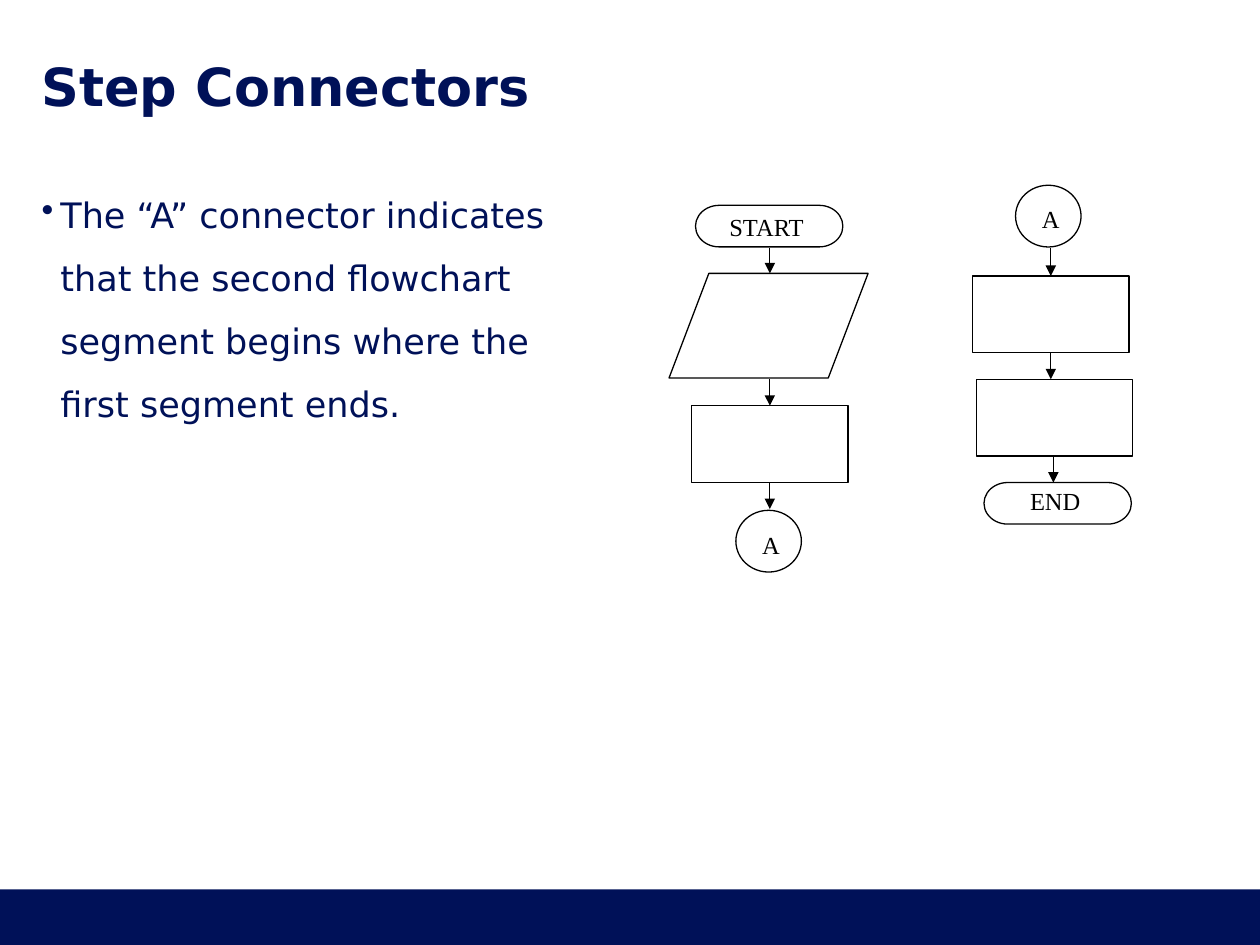
"""Build the Step Connectors slide with its two flowchart segments."""
from lxml import etree
from pptx import Presentation
from pptx.dml.color import RGBColor
from pptx.enum.shapes import MSO_CONNECTOR, MSO_SHAPE
from pptx.enum.text import MSO_ANCHOR, PP_ALIGN
from pptx.oxml.ns import qn
from pptx.util import Inches, Pt

NAVY = RGBColor(0x00, 0x11, 0x58)
BLACK = RGBColor(0x00, 0x00, 0x00)
STRAIGHT = MSO_CONNECTOR.STRAIGHT
RECTANGLE = MSO_SHAPE.RECTANGLE
CIRCLE = MSO_SHAPE.FLOWCHART_CONNECTOR
TERMINATOR = MSO_SHAPE.FLOWCHART_TERMINATOR
DATA = MSO_SHAPE.FLOWCHART_DATA
LEFT, CENTER = PP_ALIGN.LEFT, PP_ALIGN.CENTER
TOP, MIDDLE = MSO_ANCHOR.TOP, MSO_ANCHOR.MIDDLE
TOP_SITE, BOTTOM_SITE = 0, 2

deck = Presentation()
deck.slide_width, deck.slide_height = Inches(10), Inches(7.5)
page = deck.slides.add_slide(deck.slide_layouts[6])


def add_text(text, left, top, width, height, size=14, font="Times New Roman",
             color=BLACK, bold=False, align=LEFT, anchor=TOP, inset=(0.1, 0.05)):
    box = page.shapes.add_textbox(Inches(left), Inches(top), Inches(width), Inches(height))
    frame = box.text_frame
    frame.word_wrap = True
    frame.vertical_anchor = anchor
    frame.margin_left = frame.margin_right = Inches(inset[0])
    frame.margin_top = frame.margin_bottom = Inches(inset[1])
    para = frame.paragraphs[0]
    para.alignment = align
    span = para.add_run()
    span.text = text
    span.font.size, span.font.name, span.font.bold = Pt(size), font, bold
    span.font.color.rgb = color
    return para


footer = page.shapes.add_shape(RECTANGLE, 0, Inches(7.06), Inches(10), Inches(0.44))
footer.shadow.inherit = False
footer.fill.solid()
footer.fill.fore_color.rgb = NAVY
footer.line.fill.background()

add_text("Step Connectors", 0.33, 0.44, 9.34, 0.47, size=30, font="DejaVu Sans",
         color=NAVY, bold=True, anchor=MIDDLE, inset=(0, 0))
body = add_text("The “A” connector indicates that the second flowchart segment "
                "begins where the first segment ends.", 0.33, 1.37, 4.07, 5.24,
                size=20, font="DejaVu Sans", color=NAVY, inset=(0, 0))
body.line_spacing = 1.5
body.space_before = body.space_after = Pt(4.5)
properties = body._p.get_or_add_pPr()
properties.set("marL", str(Inches(0.15)))
properties.set("indent", str(Inches(-0.15)))
bullet_color = etree.SubElement(properties, qn("a:buClr"))
etree.SubElement(bullet_color, qn("a:srgbClr"), val=str(NAVY))
etree.SubElement(properties, qn("a:buChar"), char="•")

sizes = {CIRCLE: (0.52, 0.49), TERMINATOR: (1.17, 0.33), DATA: (1.58, 0.83), RECTANGLE: (1.24, 0.61)}
steps = {}
for name, kind, left, top in [
    ("start", TERMINATOR, 5.52, 1.63),
    ("input", DATA, 5.31, 2.17),
    ("process", RECTANGLE, 5.49, 3.22),
    ("exit", CIRCLE, 5.84, 4.05),
    ("entry", CIRCLE, 8.06, 1.47),
    ("second process", RECTANGLE, 7.72, 2.19),
    ("third process", RECTANGLE, 7.75, 3.01),
    ("end", TERMINATOR, 7.81, 3.83),
]:
    width, height = sizes[kind]
    step = page.shapes.add_shape(kind, Inches(left), Inches(top), Inches(width), Inches(height))
    step.shadow.inherit = False
    step.fill.background()
    step.line.color.rgb = BLACK
    step.line.width = Pt(0.75)
    steps[name] = step

for x, top, bottom, source, target in [
    (6.11, 1.97, 2.17, None, None),
    (6.11, 3.01, 3.21, None, "process"),
    (6.11, 3.83, 4.04, "process", None),
    (8.34, 1.97, 2.17, None, "second process"),
    (8.34, 2.81, 3.01, "second process", None),
    (8.36, 3.63, 3.83, None, None),
]:
    arrow = page.shapes.add_connector(STRAIGHT, Inches(x), Inches(top), Inches(x), Inches(bottom))
    if source:
        arrow.begin_connect(steps[source], BOTTOM_SITE)
    if target:
        arrow.end_connect(steps[target], TOP_SITE)
    arrow.line.color.rgb = BLACK
    arrow.line.width = Pt(0.75)
    etree.SubElement(arrow.line._get_or_add_ln(), qn("a:tailEnd"), type="triangle")
    etree.SubElement(arrow._element.spPr, qn("a:effectLst"))

for text, left, top, width, align in [
    ("A", 5.95, 4.16, 0.26, LEFT),
    ("A", 8.17, 1.57, 0.26, LEFT),
    ("START", 5.69, 1.63, 0.85, LEFT),
    ("END", 7.95, 3.81, 0.85, CENTER),
]:
    add_text(text, left, top, width, 0.33, align=align)

deck.save("out.pptx")
